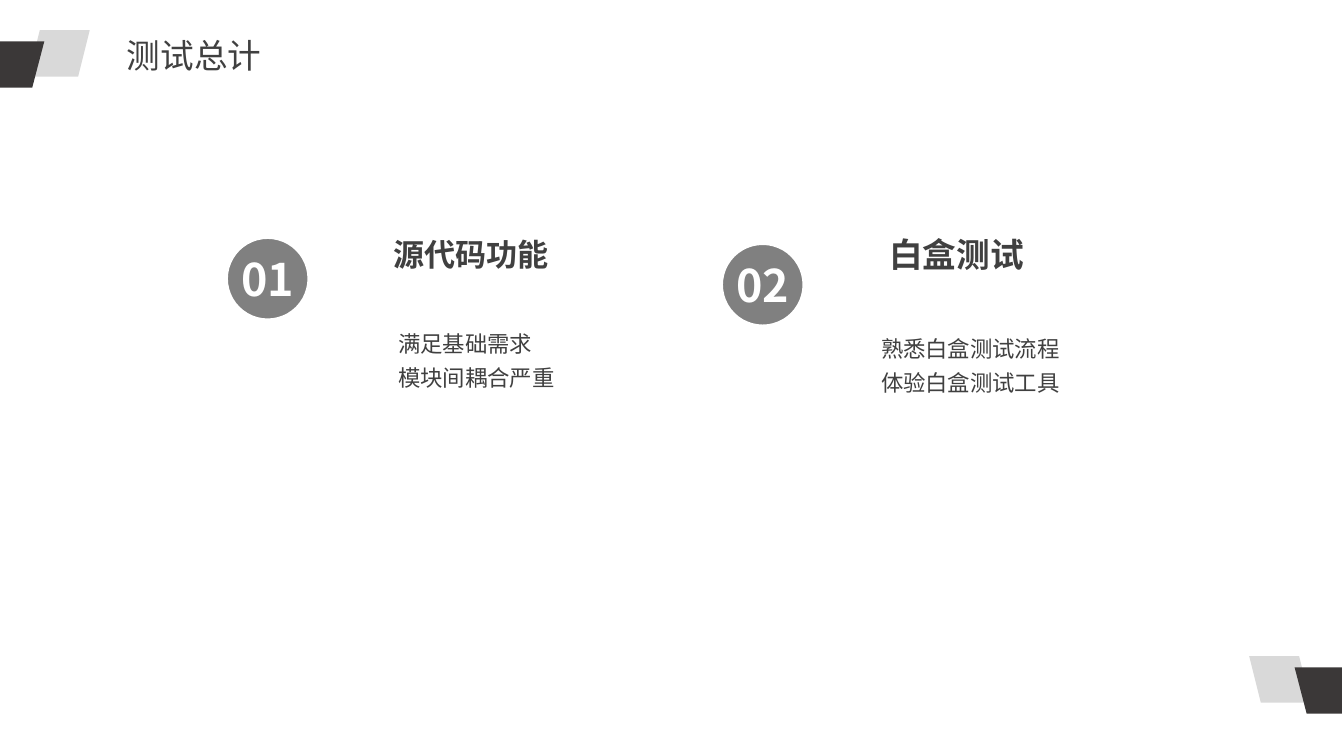
from dataclasses import dataclass

from lxml import etree
from pptx import Presentation
from pptx.dml.color import RGBColor
from pptx.enum.shapes import MSO_SHAPE
from pptx.enum.text import MSO_ANCHOR, MSO_AUTO_SIZE, PP_ALIGN
from pptx.oxml.ns import qn
from pptx.util import Inches, Pt

PARALLELOGRAM = MSO_SHAPE.PARALLELOGRAM
OVAL = MSO_SHAPE.OVAL
MIDDLE = MSO_ANCHOR.MIDDLE
TOP = MSO_ANCHOR.TOP
GROW = MSO_AUTO_SIZE.SHAPE_TO_FIT_TEXT
NO_FIT = MSO_AUTO_SIZE.NONE
CENTER = PP_ALIGN.CENTER


@dataclass(frozen=True)
class Theme:
    font: str = "Noto Sans CJK SC"
    ink: RGBColor = RGBColor(0x40, 0x40, 0x40)
    dark: RGBColor = RGBColor(0x3B, 0x38, 0x38)
    pale: RGBColor = RGBColor(0xD9, 0xD9, 0xD9)
    badge: RGBColor = RGBColor(0x80, 0x80, 0x80)
    white: RGBColor = RGBColor(0xFF, 0xFF, 0xFF)
    title_size: float = 24
    body_size: float = 16
    number_size: float = 32


class SlideBuilder:
    def __init__(self, slide, theme):
        self.shapes = slide.shapes
        self.theme = theme

    def _format(self, paragraph, size, color, bold=False):
        for run in paragraph.runs:
            run.font.size = Pt(size)
            run.font.name = self.theme.font
            run.font.bold = bold
            run.font.color.rgb = color
            east_asian = etree.SubElement(run._r.get_or_add_rPr(), qn("a:ea"))
            east_asian.set("typeface", self.theme.font)

    def _fill(self, shape, color):
        shape.shadow.inherit = False
        shape.fill.solid()
        shape.fill.fore_color.rgb = color
        shape.line.fill.background()

    def _remove_insets(self, frame):
        frame.margin_left = frame.margin_right = 0
        frame.margin_top = frame.margin_bottom = 0
        frame.vertical_anchor = MIDDLE

    def _text_box(self, box, text, size, bold=False):
        frame = self.shapes.add_textbox(*map(Inches, box)).text_frame
        frame.word_wrap = True
        frame.text = text
        for paragraph in frame.paragraphs:
            self._format(paragraph, size, self.theme.ink, bold)
        return frame

    def title(self, box, text):
        frame = self._text_box(box, text, self.theme.title_size)
        frame.auto_size = GROW

    def heading(self, box, text, size):
        frame = self._text_box(box, text, size, bold=True)
        self._remove_insets(frame)
        frame.auto_size = NO_FIT
        frame.paragraphs[0].line_spacing = 0.9
        frame.paragraphs[0].space_before = Pt(10)

    def body(self, box, lines):
        frame = self._text_box(box, "\n".join(lines), self.theme.body_size)
        frame.vertical_anchor = TOP
        frame.auto_size = GROW
        for paragraph in frame.paragraphs:
            paragraph.line_spacing = 1.25

    def badge(self, left, top, number):
        diameter = Inches(0.81)
        badge = self.shapes.add_shape(OVAL, Inches(left), Inches(top), diameter, diameter)
        self._fill(badge, self.theme.badge)
        badge.line.color.rgb = self.theme.white
        badge.line.width = Pt(1.5)
        frame = badge.text_frame
        self._remove_insets(frame)
        frame.text = number
        frame.paragraphs[0].alignment = CENTER
        self._format(frame.paragraphs[0], self.theme.number_size, self.theme.white, bold=True)

    def corner_mark(self, pale_left, top, edge, direction):
        """Draw a pale and a dark slanted tile; direction is 1 from the left edge, -1 from the right."""
        height = 0.46
        pale = self.shapes.add_shape(
            PARALLELOGRAM, Inches(pale_left), Inches(top), Inches(0.61), Inches(height))
        self._fill(pale, self.theme.pale)
        if direction < 0:
            pale._element.spPr.get_or_add_xfrm().set("flipH", "1")

        dark_top = top + 0.11
        corners = [(0, 0), (0.47, 0), (0.35, height), (0, height)]
        points = [(Inches(edge + direction * x), Inches(dark_top + y)) for x, y in corners]
        outline = self.shapes.build_freeform(*points[0])
        outline.add_line_segments(points[1:], close=True)
        self._fill(outline.convert_to_shape(), self.theme.dark)


def main():
    presentation = Presentation()
    presentation.slide_width = Inches(13.33)
    presentation.slide_height = Inches(7.5)
    slide = presentation.slides.add_slide(presentation.slide_layouts[6])
    builder = SlideBuilder(slide, Theme())

    builder.corner_mark(0.28, 0.3, edge=-0.03, direction=1)
    builder.corner_mark(12.39, 6.51, edge=13.31, direction=-1)
    builder.title((1.16, 0.3, 5.93, 0.5), "测试总计")

    topics = [
        ("01", (2.25, 2.36), "源代码功能", 3.9, 22.2,
         (3.85, 3.16, 2.19, 0.74), ["满足基础需求", "模块间耦合严重"]),
        ("02", (7.16, 2.42), "白盒测试", 8.82, 24,
         (8.64, 3.21, 2.74, 0.74), ["熟悉白盒测试流程", "体验白盒测试工具"]),
    ]
    for number, badge_corner, heading, heading_left, heading_size, body_box, lines in topics:
        builder.heading((heading_left, 2.32, 1.59, 0.45), heading, heading_size)
        builder.body(body_box, lines)
        builder.badge(*badge_corner, number)

    presentation.save("out.pptx")


if __name__ == "__main__":
    main()
